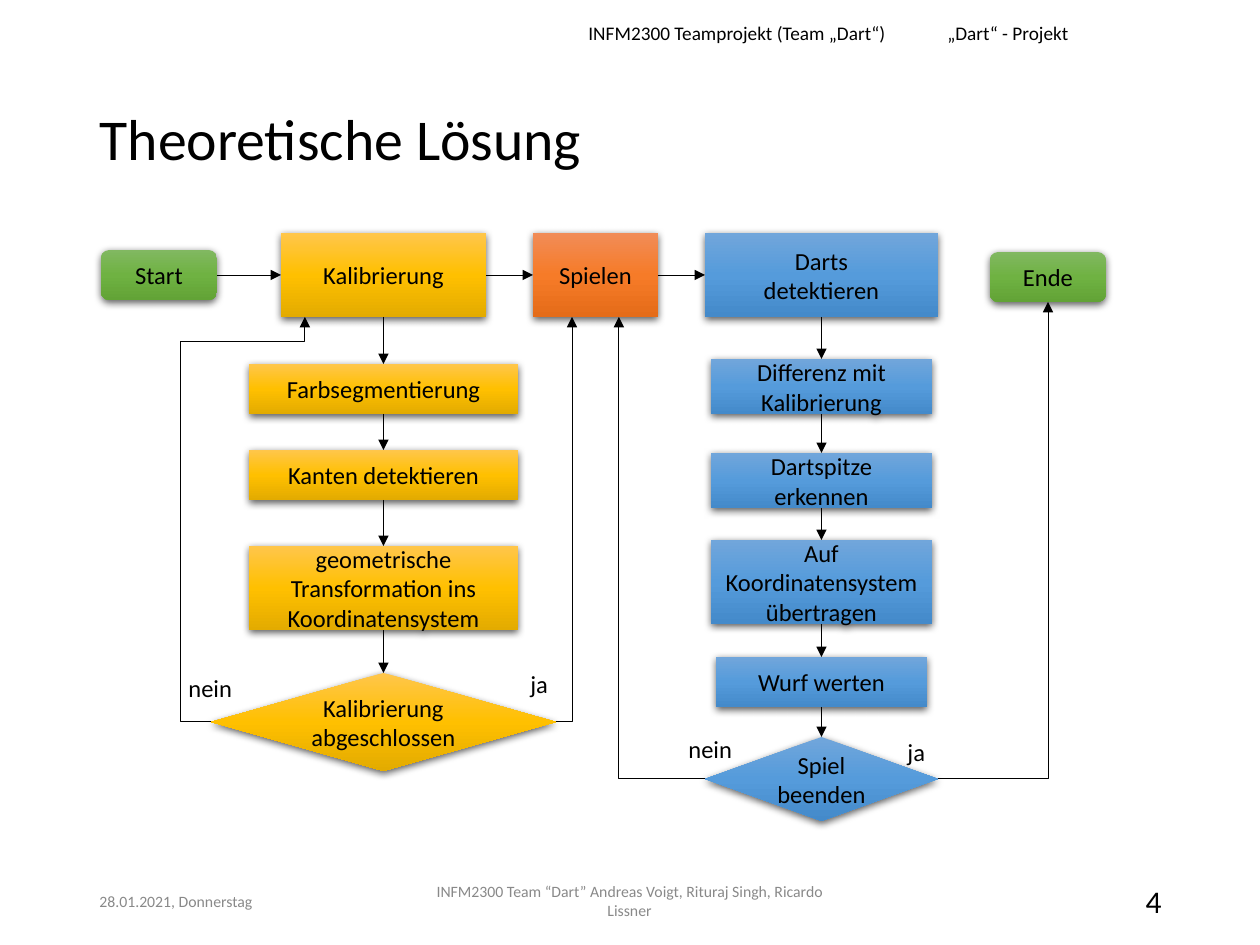
import copy

import pptx
import pptx.dml.color
import pptx.enum.shapes
import pptx.enum.text
import pptx.oxml
import pptx.oxml.ns
import pptx.util

RGBColor = pptx.dml.color.RGBColor
Preset = pptx.enum.shapes.MSO_SHAPE
Connector = pptx.enum.shapes.MSO_CONNECTOR
Align = pptx.enum.text.PP_ALIGN
Anchor = pptx.enum.text.MSO_ANCHOR

PX = 914400 / 126
FONT = "Calibri"
BLACK = RGBColor(0x00, 0x00, 0x00)
GREY = RGBColor(0x89, 0x89, 0x89)

# Gradients from top to bottom
GREEN = (RGBColor(0x81, 0xB8, 0x61), RGBColor(0x6F, 0xB2, 0x42), RGBColor(0x62, 0xA3, 0x36))
YELLOW = (RGBColor(0xFF, 0xC6, 0x4B), RGBColor(0xFF, 0xC0, 0x00), RGBColor(0xE3, 0xAB, 0x00))
ORANGE = (RGBColor(0xF1, 0x8C, 0x57), RGBColor(0xF6, 0x7B, 0x28), RGBColor(0xE5, 0x6C, 0x19))
BLUE = (RGBColor(0x71, 0xA6, 0xDB), RGBColor(0x55, 0x9B, 0xDB), RGBColor(0x44, 0x8A, 0xCA))

# Connection sites shared by all presets used here
TOP, LEFT, BOTTOM, RIGHT = range(4)

# Steps below each heading: preset, text, top within the column, width, height
CALIBRATION_STEPS = [
    (Preset.RECTANGLE, "Farbsegmentierung", 131, 269, 50),
    (Preset.RECTANGLE, "Kanten detektieren", 217, 269, 50),
    (Preset.RECTANGLE, "geometrische\nTransformation ins Koordinatensystem", 313, 269, 84),
    (Preset.DIAMOND, "Kalibrierung abgeschlossen", 440, 345, 98),
]
DETECTION_STEPS = [
    (Preset.RECTANGLE, "Differenz mit Kalibrierung", 126, 221, 55),
    (Preset.RECTANGLE, "Dartspitze erkennen", 220, 221, 55),
    (Preset.RECTANGLE, "Auf Koordinatensystem übertragen", 307, 221, 84),
    (Preset.RECTANGLE, "Wurf werten", 424, 211, 50),
    (Preset.DIAMOND, "Spiel beenden", 504, 233, 84),
]


def emu(*lengths):
    return [pptx.util.Emu(round(length * PX)) for length in lengths]


def write(shape, text, size, color=BLACK, align=Align.LEFT, anchor=Anchor.MIDDLE, wrap=True):
    frame = shape.text_frame
    frame.text = text
    frame.word_wrap = wrap
    frame.vertical_anchor = anchor
    for paragraph in frame.paragraphs:
        paragraph.alignment = align
        paragraph.font.name = FONT
        paragraph.font.size = pptx.util.Pt(size)
        paragraph.font.color.rgb = color


def add_text(slide, box, text, size, **style):
    write(slide.shapes.add_textbox(*emu(*box)), text, size, **style)


def add_node(slide, preset, box, text, palette):
    shape = slide.shapes.add_shape(preset, *emu(*box))
    shape.line.fill.background()

    # Three-stop gradient
    shape.fill.gradient()
    shape.fill.gradient_angle = 270
    first_stop = shape._element.spPr.find(".//" + pptx.oxml.ns.qn("a:gs"))
    first_stop.addnext(copy.deepcopy(first_stop))
    for stop, position, color in zip(shape.fill.gradient_stops, (0, 0.5, 1), palette):
        stop.position = position
        stop.color.rgb = color

    # Soft shadow below
    shape.shadow.inherit = False
    effects = shape._element.spPr.find(pptx.oxml.ns.qn("a:effectLst"))
    effects.append(pptx.oxml.parse_xml(
        f'<a:outerShdw {pptx.oxml.ns.nsdecls("a")} blurRad="57150" dist="19050" dir="5400000" '
        'algn="ctr" rotWithShape="0"><a:srgbClr val="000000"><a:alpha val="63000"/>'
        '</a:srgbClr></a:outerShdw>'))
    write(shape, text, 14, align=Align.CENTER)
    return shape


def add_arrow(slide, kind, start, end):
    arrow = slide.shapes.add_connector(kind, *emu(*start, *end))
    arrow.line.color.rgb = BLACK
    arrow.line.width = pptx.util.Pt(0.5)
    namespace = pptx.oxml.ns.nsdecls("a")
    arrow.line._get_or_add_ln().append(
        pptx.oxml.parse_xml(f'<a:tailEnd {namespace} type="triangle"/>'))
    arrow._element.spPr.append(pptx.oxml.parse_xml(f"<a:effectLst {namespace}/>"))
    return arrow


def link(slide, source, source_site, target, target_site):
    arrow = add_arrow(slide, Connector.STRAIGHT, (0, 0), (0, 0))
    arrow.begin_connect(source, source_site)
    arrow.end_connect(target, target_site)


def add_elbow(slide, start, end, preset="bentConnector2", adjustments=()):
    arrow = add_arrow(slide, Connector.ELBOW, start, end)
    geometry = arrow._element.spPr.find(pptx.oxml.ns.qn("a:prstGeom"))
    geometry.set("prst", preset)
    guides = geometry.get_or_add_avLst()
    for number, share in enumerate(adjustments, 1):
        guides.append(pptx.oxml.parse_xml(
            f'<a:gd {pptx.oxml.ns.nsdecls("a")} name="adj{number}" '
            f'fmla="val {round(share * 100000)}"/>'))


def add_column(slide, box, heading, heading_width, steps, palette):
    """Heading and its steps, centred in the box and joined downwards; returns the heading."""
    left, top, width = box
    rows = [(Preset.FLOWCHART_PREDEFINED_PROCESS, heading, 0, heading_width, 84)] + steps
    nodes = [
        add_node(slide, preset, (left + (width - row_width) / 2, top + offset, row_width, height),
                 text, palette)
        for preset, text, offset, row_width, height in rows
    ]
    for upper, lower in zip(nodes, nodes[1:]):
        link(slide, upper, BOTTOM, lower, TOP)
    return nodes[0]


def add_flowchart(slide, left, top):
    def at(x, y):
        return left + x, top + y

    # Main row and the two columns
    start = add_node(slide, Preset.ROUNDED_RECTANGLE, (*at(0, 17), 116, 50), "Start", GREEN)
    calibration = add_column(slide, (*at(110, 0), 345), "Kalibrierung", 205,
                             CALIBRATION_STEPS, YELLOW)
    play = add_node(slide, Preset.RECTANGLE, (*at(432, 0), 125, 84), "Spielen", ORANGE)
    detection = add_column(slide, (*at(604, 0), 233), "Darts detektieren", 233,
                           DETECTION_STEPS, BLUE)
    add_node(slide, Preset.ROUNDED_RECTANGLE, (*at(889, 19), 116, 50), "Ende", GREEN)
    row = [start, calibration, play, detection]
    for source, target in zip(row, row[1:]):
        link(slide, source, RIGHT, target, LEFT)

    # Branches of the two decisions
    add_elbow(slide, at(455, 489), at(471, 84))
    add_elbow(slide, at(110, 489), at(204, 84), "bentConnector4", (-0.33, 0.94))
    add_elbow(slide, at(837, 546), at(947, 69))
    add_elbow(slide, at(604, 546), at(518, 84))
    for text, x, y, width in [("nein", 75, 434, 69), ("nein", 575, 495, 69),
                              ("ja", 794, 498, 43), ("ja", 417, 430, 43)]:
        add_text(slide, (*at(x, y), width, 43), text, 14, anchor=Anchor.TOP, wrap=False)


def add_header(slide, left, top):
    for text, x, width in [("INFM2300 Teamprojekt (Team „Dart“)", 0, 334),
                           ("„Dart“ - Projekt", 359, 238)]:
        add_text(slide, (left + x, top, width, 37), text, 11, anchor=Anchor.TOP)


def add_title(slide, box):
    title = slide.shapes.title
    title.left, title.top, title.width, title.height = emu(*box)
    write(title, "Theoretische Lösung", 33)
    title.text_frame.paragraphs[0].line_spacing = 0.9


def add_footer(slide, left, top):
    add_text(slide, (left, top, 284, 50), "28.01.2021, Donnerstag", 9, color=GREY)
    add_text(slide, (left + 330, top, 425, 50),
             "INFM2300 Team “Dart” Andreas Voigt, Rituraj Singh, Ricardo Lissner", 9,
             color=GREY, align=Align.CENTER)
    add_text(slide, (left + 803, top, 284, 50), "4", 18, align=Align.RIGHT)


def main():
    presentation = pptx.Presentation()
    presentation.slide_width, presentation.slide_height = emu(1260, 945)
    slide = presentation.slides.add_slide(presentation.slide_layouts.get_by_name("Title Only"))
    add_header(slide, 576, 15)
    add_title(slide, (87, 50, 1086, 183))
    add_flowchart(slide, 101, 233)
    add_footer(slide, 87, 876)
    presentation.save("out.pptx")


if __name__ == "__main__":
    main()
